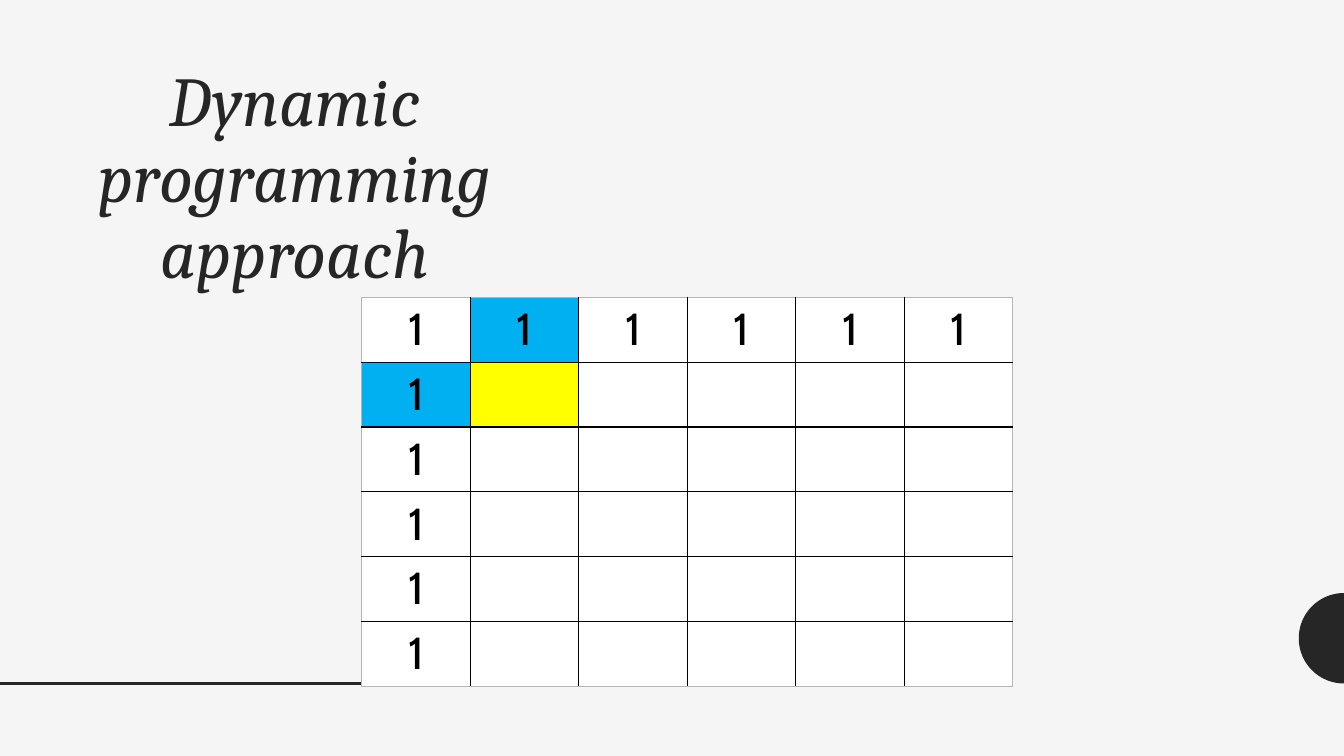
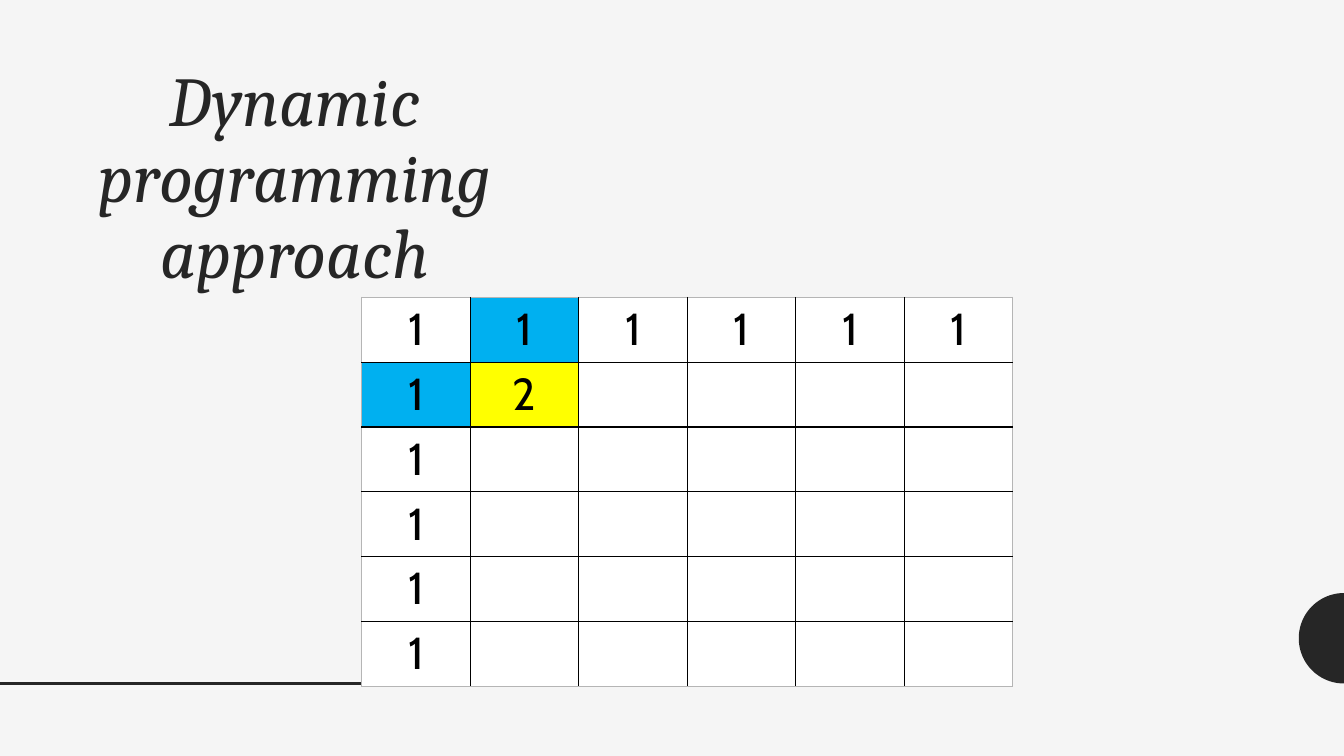
from math import cos, sin, pi
from lxml.etree import SubElement as Sub
from pptx import Presentation
from pptx.dml.color import RGBColor as RGB
from pptx.enum.shapes import MSO_CONNECTOR as Conn
from pptx.enum.text import MSO_ANCHOR as Anchor, PP_ALIGN as Align
from pptx.oxml.ns import qn
from pptx.util import Pt

# Content
TITLE = "Dynamic programming approach"
SIZE = 6
STEPS = ["", "2"]  # value of the current cell on each slide

# Style
PAPER = RGB(0xF5, 0xF5, 0xF5)
DARK = RGB(0x26, 0x26, 0x26)
BLACK = RGB(0, 0, 0)
WHITE = RGB(0xFF, 0xFF, 0xFF)
BLUE = RGB(0x00, 0xB0, 0xF0)
YELLOW = RGB(0xFF, 0xFF, 0x00)
GREY = RGB(0xB5, 0xB5, 0xB5)
FILLS = {(0, 1): BLUE, (1, 0): BLUE, (1, 1): YELLOW}

# Layout in points
WIDTH, HEIGHT = 960, 540
LEFT, TOP = 258.5, 212.4
COL, ROW = 77.5, 46.3
BASE = 488.2
RADIUS = 32.3


def write(frame, text, font, size, color, italic=False, space=None):
    para = frame.paragraphs[0]
    para.alignment = Align.CENTER
    para.line_spacing = space
    run = para.add_run()
    run.text = text
    face = run.font
    face.name, face.size, face.italic = font, Pt(size), italic
    face.color.rgb = color


def edge(cell, side, color, width):
    line = Sub(cell._tc.get_or_add_tcPr(), qn("a:ln" + side), w=str(Pt(width)))
    fill = Sub(line, qn("a:solidFill"))
    Sub(fill, qn("a:srgbClr"), val=str(color))


def add_frame(slide):
    """Background, half circle, rule and title shared by all slides."""
    back = slide.background.fill
    back.solid()
    back.fore_color.rgb = PAPER

    # Half circle at the right edge
    turns = [pi / 2 + pi * i / 48 for i in range(49)]
    arc = [(Pt(WIDTH + RADIUS * cos(t)), Pt(BASE - RADIUS - RADIUS * sin(t)))
           for t in turns]
    pen = slide.shapes.build_freeform(*arc[0])
    pen.add_line_segments(arc[1:], close=True)
    disc = pen.convert_to_shape()
    disc.shadow.inherit = False
    disc.fill.solid()
    disc.fill.fore_color.rgb = DARK
    disc.line.fill.background()

    # Bottom rule
    rule = slide.shapes.add_connector(
        Conn.STRAIGHT, Pt(0), Pt(BASE), Pt(354), Pt(BASE))
    rule.line.color.rgb = DARK
    rule.line.width = Pt(2)
    Sub(rule._element.spPr, qn("a:effectLst"))

    # Title
    box = slide.shapes.add_textbox(Pt(60), Pt(44), Pt(301.5), Pt(390))
    box.text_frame.word_wrap = True
    write(box.text_frame, TITLE, "Cambria", 50, DARK, italic=True, space=0.9)


def add_grid(slide, value):
    grid = slide.shapes.add_table(SIZE, SIZE, Pt(LEFT), Pt(TOP),
                                  Pt(COL * SIZE), Pt(ROW * SIZE)).table
    grid.first_row = grid.horz_banding = False
    last = SIZE - 1
    for i in range(SIZE):
        grid.columns[i].width = Pt(COL)
        grid.rows[i].height = Pt(ROW)
        for j in range(SIZE):
            cell = grid.cell(i, j)
            rims = {"L": j == 0, "R": j == last, "T": i == 0, "B": i == last}
            for side, rim in rims.items():
                edge(cell, side, GREY if rim else BLACK, 0.75 if rim else 1)
            cell.fill.solid()
            cell.fill.fore_color.rgb = FILLS.get((i, j), WHITE)
            cell.vertical_anchor = Anchor.TOP
            text = "1" if 0 in (i, j) else value if (i, j) == (1, 1) else ""
            if text:
                write(cell.text_frame, text, "Cabin", 32, BLACK)


def main():
    deck = Presentation()
    deck.slide_width, deck.slide_height = Pt(WIDTH), Pt(HEIGHT)
    for value in STEPS:
        slide = deck.slides.add_slide(deck.slide_layouts[6])
        add_frame(slide)
        add_grid(slide, value)
    deck.save("out.pptx")


if __name__ == "__main__":
    main()
